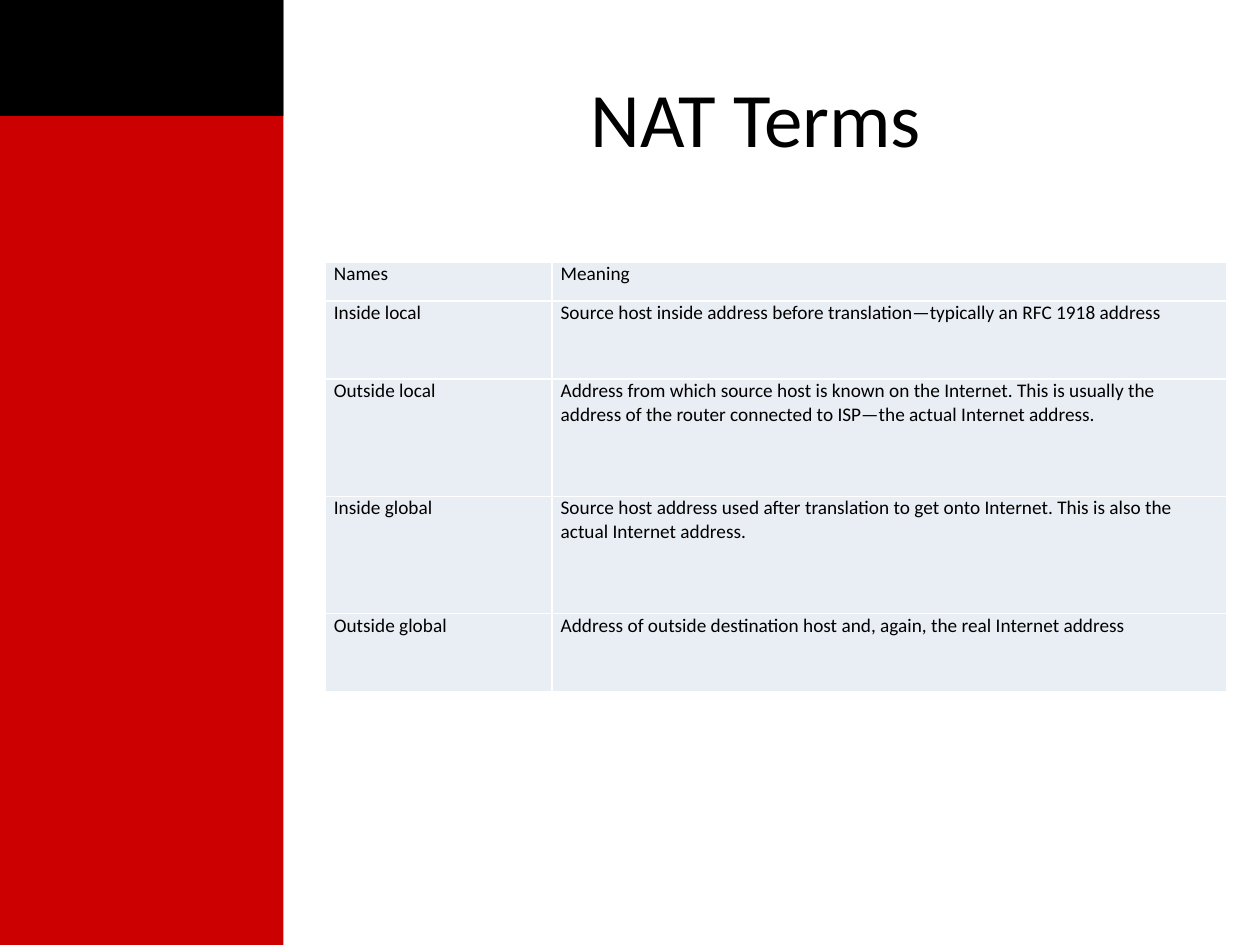
from dataclasses import dataclass

from lxml import etree
from pptx import Presentation
from pptx.dml.color import RGBColor
from pptx.enum import shapes, text
from pptx.oxml.ns import qn
from pptx.util import Inches, Pt


@dataclass(frozen=True)
class Theme:
    font: str = "Calibri"
    ink: str = "000000"
    red: str = "CC0000"
    cell: str = "E9EDF4"
    border: str = "FFFFFF"
    title_size: float = 44
    table_size: float = 11


@dataclass(frozen=True)
class Band:
    height: float
    color: str


@dataclass(frozen=True)
class Term:
    name: str
    meaning: str
    row_units: int
    space_after: float = 3


THEME = Theme()
BAND_WIDTH = 2.25
ROW_UNIT = 0.31
COLUMN_WIDTHS = (1.8, 5.36)

BANDS = (Band(7.5, THEME.red), Band(0.92, THEME.ink))
TERMS = (
    Term("Names", "Meaning", 1, space_after=0),
    Term("Inside local",
         "Source host inside address before translation—typically an RFC 1918 address", 2),
    Term("Outside local",
         "Address from which source host is known on the Internet. This is usually the "
         "address of the router connected to ISP—the actual Internet address.", 3),
    Term("Inside global",
         "Source host address used after translation to get onto Internet. "
         "This is also the actual Internet address.", 3),
    Term("Outside global",
         "Address of outside destination host and, again, the real Internet address", 2),
)


def add_run(paragraph, words: str, size: float) -> None:
    run = paragraph.add_run()
    run.text = words
    run.font.name = THEME.font
    run.font.size = Pt(size)
    run.font.color.rgb = RGBColor.from_string(THEME.ink)


def draw_band(slide, band: Band) -> None:
    bar = slide.shapes.add_shape(shapes.MSO_SHAPE.RECTANGLE, 0, 0,
                                 Inches(BAND_WIDTH), Inches(band.height))
    bar.shadow.inherit = False
    bar.fill.solid()
    bar.fill.fore_color.rgb = RGBColor.from_string(band.color)
    bar.line.fill.background()


def write_title(slide, words: str) -> None:
    title = slide.shapes.title
    title.left, title.top = Inches(2.5), Inches(0.3)
    title.width, title.height = Inches(7), Inches(1.25)
    title.text_frame.vertical_anchor = text.MSO_ANCHOR.MIDDLE
    paragraph = title.text_frame.paragraphs[0]
    paragraph.alignment = text.PP_ALIGN.CENTER
    add_run(paragraph, words, THEME.title_size)


def set_borders(cell) -> None:
    """Put a one-point line on each side, ahead of the cell's fill as the schema asks."""
    properties = cell._tc.get_or_add_tcPr()
    for position, side in enumerate(("a:lnL", "a:lnR", "a:lnT", "a:lnB")):
        line = etree.Element(qn(side), w=str(Pt(1)))
        fill = etree.SubElement(line, qn("a:solidFill"))
        etree.SubElement(fill, qn("a:srgbClr"), val=THEME.border)
        properties.insert(position, line)


def write_cell(cell, words: str, space_after: float) -> None:
    cell.margin_left = cell.margin_right = Inches(0.07)
    cell.margin_top = cell.margin_bottom = 0
    cell.fill.solid()
    cell.fill.fore_color.rgb = RGBColor.from_string(THEME.cell)
    set_borders(cell)
    paragraph = cell.text_frame.paragraphs[0]
    paragraph.space_after = Pt(space_after)
    add_run(paragraph, words, THEME.table_size)


def draw_terms(slide, terms: tuple[Term, ...]) -> None:
    height = ROW_UNIT * sum(term.row_units for term in terms)
    table = slide.shapes.add_table(len(terms), len(COLUMN_WIDTHS), Inches(2.58), Inches(2.08),
                                   Inches(sum(COLUMN_WIDTHS)), Inches(height)).table
    table.first_row = table.horz_banding = False
    for column, width in zip(table.columns, COLUMN_WIDTHS):
        column.width = Inches(width)
    for row, term in zip(table.rows, terms):
        row.height = Inches(ROW_UNIT * term.row_units)
        for cell, words in zip(row.cells, (term.name, term.meaning)):
            write_cell(cell, words, term.space_after)


def main() -> None:
    deck = Presentation()
    deck.slide_width, deck.slide_height = Inches(10), Inches(7.5)
    slide = deck.slides.add_slide(deck.slide_layouts.get_by_name("Title Only"))
    for band in BANDS:
        draw_band(slide, band)
    write_title(slide, "NAT Terms")
    draw_terms(slide, TERMS)
    deck.save("out.pptx")


if __name__ == "__main__":
    main()
